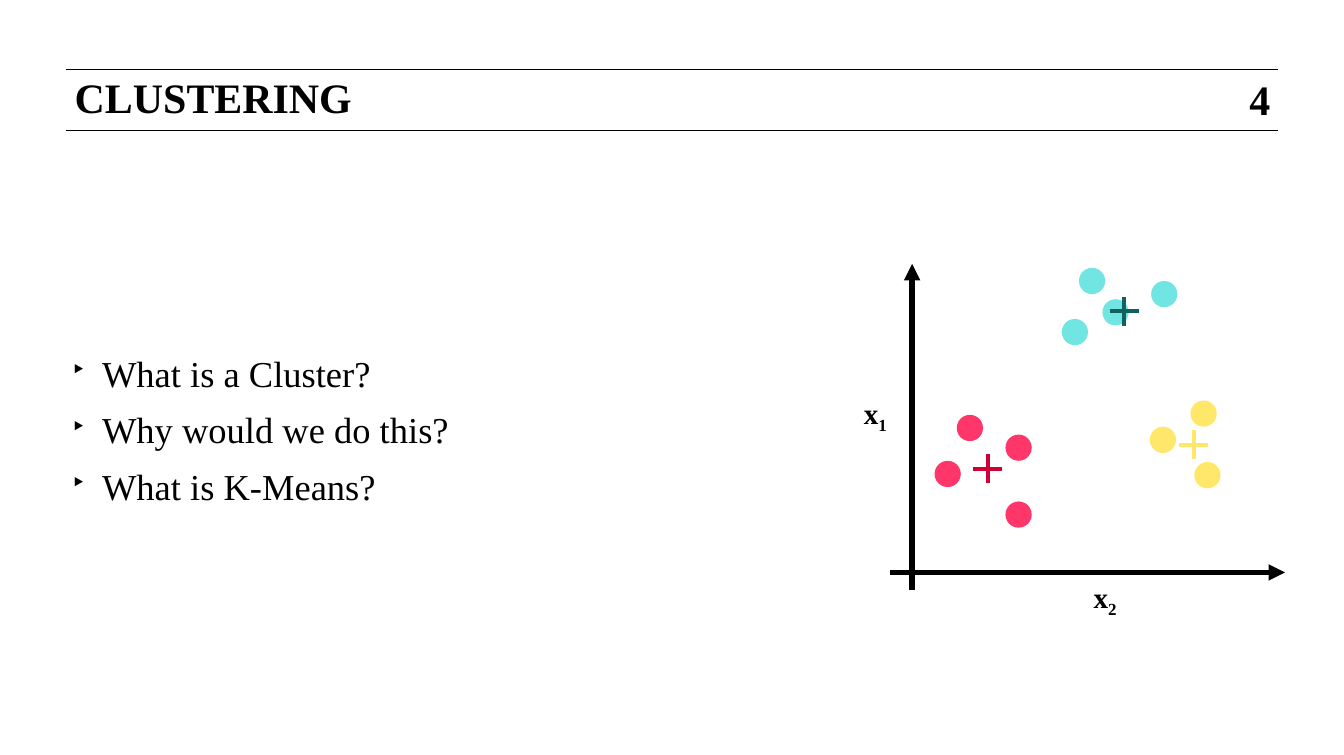
from lxml import etree
from pptx import Presentation
from pptx.dml.color import RGBColor
from pptx.enum.shapes import MSO_CONNECTOR, MSO_SHAPE
from pptx.enum.text import MSO_ANCHOR, PP_ALIGN
from pptx.oxml.ns import qn
from pptx.util import Pt

STRAIGHT = MSO_CONNECTOR.STRAIGHT
OVAL = MSO_SHAPE.OVAL
TOP, MIDDLE = MSO_ANCHOR.TOP, MSO_ANCHOR.MIDDLE
LEFT, CENTER = PP_ALIGN.LEFT, PP_ALIGN.CENTER

BLACK = RGBColor(0x00, 0x00, 0x00)
PINK = RGBColor(0xFF, 0x36, 0x69)
CRIMSON = RGBColor(0xCE, 0x00, 0x35)
AQUA = RGBColor(0x70, 0xE5, 0xE1)
TEAL = RGBColor(0x11, 0x61, 0x5E)
YELLOW = RGBColor(0xFF, 0xE7, 0x6A)

FONT = "Times New Roman"
DOT = 14.4
ARM = 7.9

QUESTIONS = ["What is a Cluster?", "Why would we do this?", "What is K-Means?"]
CLUSTERS = [
    (PINK, CRIMSON, (53.6, 112.3),
     [(36.7, 82.8), (63.4, 93.6), (24.5, 108), (63.4, 130.3)]),
    (AQUA, TEAL, (128.5, 25.9),
     [(94.3, 30.2), (116.6, 19.4), (103.7, 2.2), (143.3, 9.4)]),
    (YELLOW, YELLOW, (166.7, 99.2),
     [(164.9, 74.9), (142.6, 89.3), (167, 108.7)]),
]


def add_line(shapes, x1, y1, x2, y2, color, weight, arrow=False):
    line = shapes.add_connector(STRAIGHT, Pt(x1), Pt(y1), Pt(x2), Pt(y2))
    line.line.color.rgb = color
    line.line.width = Pt(weight)
    sp_pr = line._element.spPr
    if arrow:
        etree.SubElement(sp_pr.find(qn("a:ln")), qn("a:tailEnd"), type="triangle")
    etree.SubElement(sp_pr, qn("a:effectLst"))


def add_box(s, x, y, w, h, inset=0, anchor=TOP, wrap=True):
    tf = s.shapes.add_textbox(Pt(x), Pt(y), Pt(w), Pt(h)).text_frame
    tf.margin_left = tf.margin_right = Pt(inset)
    tf.margin_top = tf.margin_bottom = Pt(inset)
    tf.vertical_anchor = anchor
    tf.word_wrap = wrap
    return tf


def add_run(p, text, size, bold=True):
    r = p.add_run()
    r.text = text
    r.font.name = FONT
    r.font.size = Pt(size)
    r.font.bold = bold
    r.font.color.rgb = BLACK
    return r


def add_bullet(p):
    p_pr = p._p.get_or_add_pPr()
    p_pr.set("marL", str(Pt(20)))
    p_pr.set("indent", str(Pt(-17)))
    color = etree.SubElement(p_pr, qn("a:buClr"))
    etree.SubElement(color, qn("a:srgbClr"), val=str(BLACK))
    etree.SubElement(p_pr, qn("a:buSzPct"), val="69000")
    etree.SubElement(p_pr, qn("a:buChar"), char="‣")


def add_header(s, x, y, w, h, title, number):
    for rule_y in (y, y + h):
        add_line(s.shapes, x, rule_y, x + w, rule_y, BLACK, 0.5)
    p = add_box(s, x + w - 17.3, y + 2.2, 14.4, 27.4, 0, MIDDLE, False).paragraphs[0]
    p.alignment = CENTER
    add_run(p, number, 23)
    p = add_box(s, x + 0.7, y + 1.4, 620, 80, 4.3).paragraphs[0]
    p.alignment = LEFT
    p.line_spacing = Pt(23)
    add_run(p, title, 23)


def add_questions(s, x, y, w, h):
    tf = add_box(s, x, y, w, h, 0, MIDDLE)
    for i, question in enumerate(QUESTIONS):
        p = tf.add_paragraph() if i else tf.paragraphs[0]
        add_bullet(p)
        p.line_spacing = Pt(24)
        if i:
            p.space_before = Pt(7)
        add_run(p, question, 20, False)


def add_axis_label(s, x, y, subscript):
    p = add_box(s, x, y, 31.7, 26.6, 3.6).paragraphs[0]
    p.alignment = CENTER
    add_run(p, "x", 16)
    r = add_run(p, subscript, 16)
    r._r.get_or_add_rPr().set("baseline", "-25000")


def add_plot(s, x, y, w, h):
    axis_x, axis_y = x + 12.2, y + h - 9.4
    add_line(s.shapes, axis_x, y + h, axis_x, y, BLACK, 3, True)
    add_line(s.shapes, x, axis_y, x + w, axis_y, BLACK, 3, True)
    for fill, cross_color, (cx, cy), dots in CLUSTERS:
        for dx, dy in dots:
            sp = s.shapes.add_shape(OVAL, Pt(x + dx), Pt(y + dy), Pt(DOT), Pt(DOT))
            sp.shadow.inherit = False
            sp.fill.solid()
            sp.fill.fore_color.rgb = fill
            sp.line.fill.background()
        cross = s.shapes.add_group_shape().shapes
        cx, cy = x + cx, y + cy
        add_line(cross, cx - ARM, cy, cx + ARM, cy, cross_color, 2.25)
        add_line(cross, cx, cy - ARM, cx, cy + ARM, cross_color, 2.25)
    add_axis_label(s, x - 23.8, y + 68.4, "1")
    add_axis_label(s, x + 102.2, axis_y, "2")


def main():
    prs = Presentation()
    prs.slide_width, prs.slide_height = Pt(737.28), Pt(414)
    s = prs.slides.add_slide(prs.slide_layouts[6])
    add_header(s, 36, 38.2, 665.3, 33.1, "CLUSTERING", "4")
    add_questions(s, 36, 191.5, 400.3, 87.8)
    add_plot(s, 488.2, 144.7, 216.7, 178.6)
    prs.save("out.pptx")


if __name__ == "__main__":
    main()
